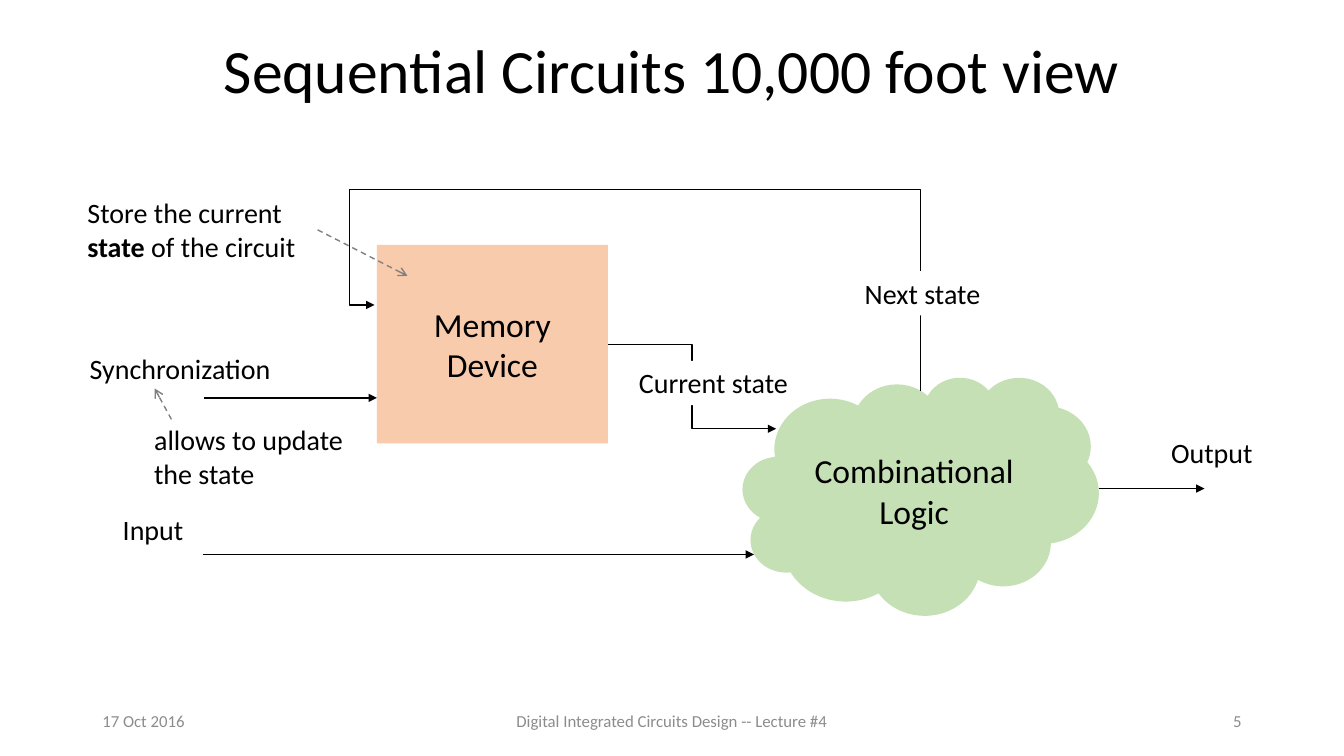
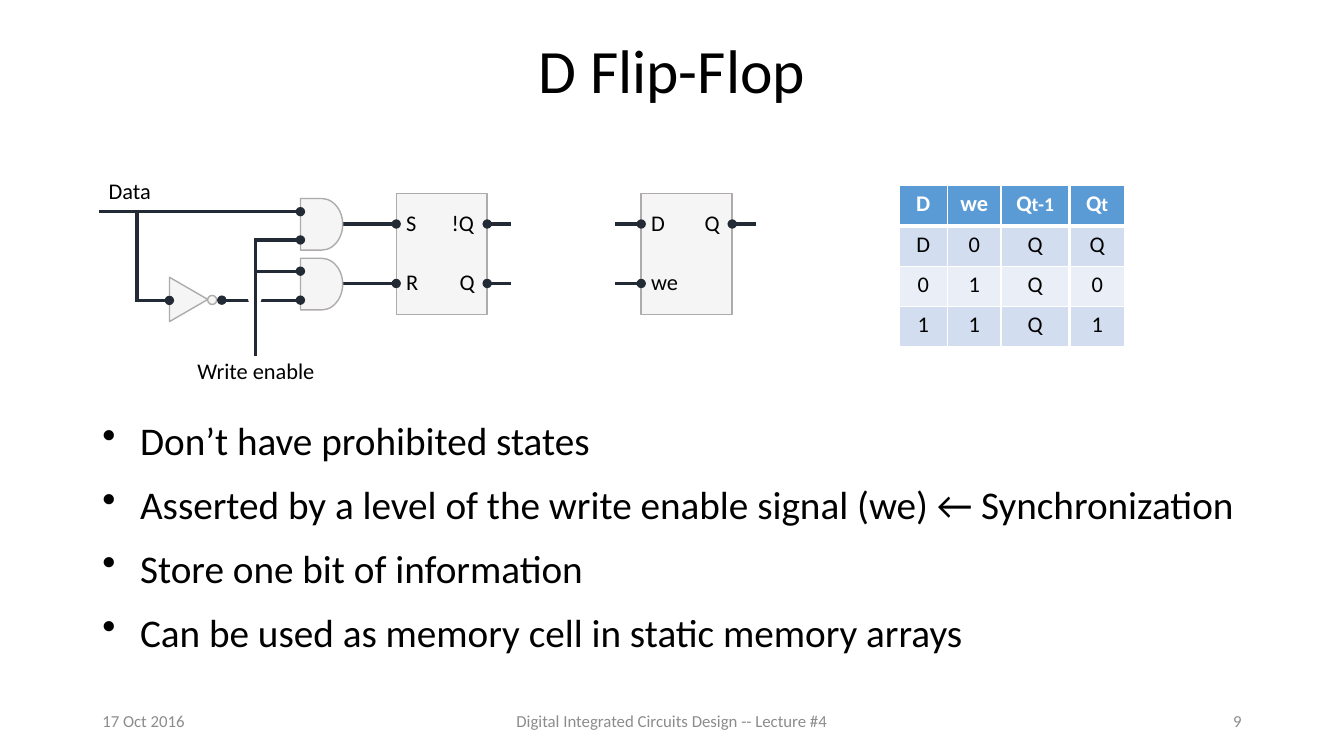
"""Build two lecture slides about sequential circuits."""
from dataclasses import dataclass
from typing import Optional

from lxml.etree import SubElement
from pptx import Presentation
from pptx.dml.color import RGBColor
from pptx.enum.dml import MSO_LINE_DASH_STYLE as Dash
from pptx.enum.shapes import MSO_CONNECTOR as Conn, MSO_SHAPE as Geo
from pptx.enum.text import MSO_ANCHOR as Anchor, MSO_AUTO_SIZE as Fit, PP_ALIGN as Align
from pptx.oxml.ns import qn
from pptx.slide import Slide
from pptx.util import Pt


@dataclass(frozen=True)
class Theme:
    font: str = "Calibri"
    black: str = "000000"
    white: str = "FFFFFF"
    muted: str = "8C8C8C"
    note: str = "808080"
    cloud: str = "C5E0B4"
    memory: str = "F8CBAD"
    gate: str = "F5F5F5"
    gate_edge: str = "AFABAB"
    wire: str = "222A35"
    header: str = "5B9BD5"
    bands: tuple = ("D2DEEF", "EAEFF7")
    title: int = 44
    body: int = 28
    block: int = 24
    label: int = 20
    pin: int = 16
    sub: int = 14
    footer: int = 12
    thin: float = 1
    thick: float = 2.25


T = Theme()


@dataclass(frozen=True)
class Run:
    text: str
    bold: bool = False
    size: Optional[int] = None


@dataclass(frozen=True)
class Box:
    x: float
    y: float
    w: float
    h: float

    def emu(self) -> tuple:
        return Pt(self.x), Pt(self.y), Pt(self.w), Pt(self.h)


@dataclass(frozen=True)
class Label:
    text: str
    x: float
    y: float
    w: float


@dataclass(frozen=True)
class Wire:
    x1: float
    y1: float
    x2: float
    y2: float
    tail: str = ""
    head: str = ""


@dataclass(frozen=True)
class Callout:
    box: Box
    runs: tuple
    adj: tuple


@dataclass(frozen=True)
class Pin:
    name: str
    w: float
    y: float
    right: bool = False


def rgb(color: str) -> RGBColor:
    return RGBColor.from_string(color)


def write(p, runs: tuple, size: int, color: str = T.black, align=Align.LEFT) -> None:
    p.alignment = align
    for run in runs:
        r = p.add_run()
        r.text = run.text
        r.font.name, r.font.bold = T.font, run.bold
        r.font.size = Pt(run.size or size)
        r.font.color.rgb = rgb(color)


def indent(p, left: float, first: float = 0):
    pPr = p._p.get_or_add_pPr()
    pPr.set("marL", str(Pt(left)))
    pPr.set("indent", str(Pt(first)))
    return pPr


def add_text(s: Slide, box: Box, text: str, size: int, color: str = T.black,
             align=Align.LEFT, spacing: Optional[float] = None) -> None:
    tf = s.shapes.add_textbox(*box.emu()).text_frame
    tf.word_wrap, tf.vertical_anchor = True, Anchor.MIDDLE
    tf.paragraphs[0].line_spacing = spacing
    write(tf.paragraphs[0], (Run(text),), size, color, align)


def add_label(s: Slide, label: Label, size: int, fill: Optional[str] = None) -> None:
    sp = s.shapes.add_textbox(Pt(label.x), Pt(label.y), Pt(label.w), Pt(size * 1.22 + 7.2))
    if fill:
        sp.fill.solid()
        sp.fill.fore_color.rgb = rgb(fill)
    tf = sp.text_frame
    tf.word_wrap, tf.auto_size = False, Fit.SHAPE_TO_FIT_TEXT
    write(tf.paragraphs[0], (Run(label.text),), size)


def add_shape(s: Slide, geo: Geo, box: Box, fill: Optional[str],
              edge: Optional[str] = None, width: float = T.thin):
    sp = s.shapes.add_shape(geo, *box.emu())
    sp.shadow.inherit = False
    if fill:
        sp.fill.solid()
        sp.fill.fore_color.rgb = rgb(fill)
    else:
        sp.fill.background()
    if edge:
        sp.line.color.rgb, sp.line.width = rgb(edge), Pt(width)
    else:
        sp.line.fill.background()
    return sp


def add_block(s: Slide, geo: Geo, box: Box, text: str, fill: str, left: float = 0) -> None:
    p = add_shape(s, geo, box, fill).text_frame.paragraphs[0]
    indent(p, left)
    write(p, (Run(text),), T.block, align=Align.CENTER)


def add_ends(line, tail: str, head: str = "") -> None:
    for tag, kind in (("a:headEnd", head), ("a:tailEnd", tail)):
        if kind:
            SubElement(line._get_or_add_ln(), qn(tag)).set("type", kind)


def add_wire(s: Slide, wire: Wire, color: str, width: float, kind=Conn.STRAIGHT):
    c = s.shapes.add_connector(kind, Pt(wire.x1), Pt(wire.y1), Pt(wire.x2), Pt(wire.y2))
    c.line.color.rgb, c.line.width = rgb(color), Pt(width)
    add_ends(c.line, wire.tail, wire.head)
    SubElement(c._element.spPr, qn("a:effectLst"))
    return c


def add_feedback(s: Slide, box: Box, adj: tuple) -> None:
    wire = Wire(box.x, box.y, box.x + box.w, box.y + box.h, "triangle")
    spPr = add_wire(s, wire, T.black, T.thin, Conn.ELBOW)._element.spPr
    xfrm, geom = spPr.find(qn("a:xfrm")), spPr.find(qn("a:prstGeom"))
    xfrm.set("rot", str(270 * 60000))
    xfrm.set("flipV", "1")
    geom.set("prst", "bentConnector4")
    guides = geom.find(qn("a:avLst"))
    for i, value in enumerate(adj, 1):
        gd = SubElement(guides, qn("a:gd"))
        gd.set("name", f"adj{i}")
        gd.set("fmla", f"val {round(value * 100000)}")


def add_callout(s: Slide, note: Callout) -> None:
    sp = add_shape(s, Geo.LINE_CALLOUT_1_NO_BORDER, note.box, None, T.note)
    sp._element.spPr.find(qn("a:xfrm")).set("flipH", "1")
    for i, value in enumerate(note.adj):
        sp.adjustments[i] = value
    sp.line.dash_style = Dash.DASH
    add_ends(sp.line, "arrow")
    write(sp.text_frame.paragraphs[0], note.runs, T.label)


def add_latch(s: Slide, x: float, stub: float, pins: tuple) -> None:
    body = Box(x, 138.2, 65, 86.5)
    add_shape(s, Geo.RECTANGLE, body, T.gate, T.gate_edge)
    for pin in pins:
        edge = x + body.w if pin.right else x
        start = edge + 17.3 if pin.right else edge - stub
        add_wire(s, Wire(start, pin.y, edge, pin.y, "oval"), T.wire, T.thick)
        left = edge - pin.w - 1.5 if pin.right else edge
        add_label(s, Label(pin.name, left, pin.y - 14.2, pin.w), T.pin)


def add_bullets(s: Slide, box: Box, lines: tuple) -> None:
    tf = s.shapes.add_textbox(*box.emu()).text_frame
    tf.word_wrap = True
    for i, line in enumerate(lines):
        p = tf.add_paragraph() if i else tf.paragraphs[0]
        p.space_before = Pt(12)
        SubElement(indent(p, 27, -27), qn("a:buChar")).set("char", "•")
        write(p, (Run(line),), T.body)


def add_border(cell, side: str, width: float) -> None:
    ln = SubElement(cell._tc.get_or_add_tcPr(), qn(f"a:ln{side}"))
    ln.set("w", str(Pt(width)))
    SubElement(SubElement(ln, qn("a:solidFill")), qn("a:srgbClr")).set("val", T.white)


def add_truth_table(s: Slide, box: Box, widths: tuple, rows: tuple) -> None:
    table = s.shapes.add_table(len(rows), len(widths), *box.emu()).table
    for column, width in zip(table.columns, widths):
        column.width = Pt(width)
    for i, row in enumerate(rows):
        table.rows[i].height = Pt(box.h / len(rows))
        for j, runs in enumerate(row):
            cell = table.cell(i, j)
            heavy = {"L": j == 3, "R": j == 2, "T": i == 1, "B": i == 0}
            for side, is_heavy in heavy.items():
                add_border(cell, side, 3 if is_heavy else 1)
            cell.fill.solid()
            cell.fill.fore_color.rgb = rgb(T.bands[(i - 1) % 2] if i else T.header)
            write(cell.text_frame.paragraphs[0], runs, T.pin,
                  T.black if i else T.white, Align.CENTER)


def new_slide(prs, title: str, number: int) -> Slide:
    s = prs.slides.add_slide(prs.slide_layouts[6])
    add_text(s, Box(66, 0, 828, 104.4), title, T.title, align=Align.CENTER, spacing=0.9)
    for x, w, text, align in ((66, 216, "17 Oct 2016", Align.LEFT),
                              (318, 324, "Digital Integrated Circuits Design -- Lecture #4", Align.CENTER),
                              (678, 216, str(number), Align.RIGHT)):
        add_text(s, Box(x, 500.5, w, 28.75), text, T.footer, T.muted, align)
    return s


def sequential_slide(prs) -> None:
    s = new_slide(prs, "Sequential Circuits 10,000 foot view", 5)
    add_block(s, Geo.CLOUD, Box(530.6, 269.3, 254.2, 170), "Combinational Logic", T.cloud, 8.6)
    add_block(s, Geo.RECTANGLE, Box(269.2, 175, 165, 141.8), "Memory Device", T.memory)
    add_wire(s, Wire(434.2, 246.2, 554.4, 306.3, "triangle"), T.black, T.thin, Conn.ELBOW)
    for x1, x2, y in ((144.7, 538.6, 396), (145.4, 269.2, 284.2), (784.8, 860.4, 349)):
        add_wire(s, Wire(x1, y, x2, y, "triangle"), T.black, T.thin)
    add_feedback(s, Box(432, 53.3, 61.2, 390.2), (2.349, 1.046))
    store = (Run("Store the current "), Run("state", True), Run(" of the circuit"))
    add_callout(s, Callout(Box(55.4, 113.8, 169.2, 100), store, (0.504, -0.014, 0.833, -0.393)))
    for label in (Label("Next state", 610.6, 193.7, 97.9), Label("Current state", 449.3, 257.8, 122.4),
                  Label("Input", 80.6, 362.2, 58.3), Label("Output", 829.4, 307.4, 73.4),
                  Label("Synchronization", 56.9, 247.7, 144.7)):
        add_label(s, label, T.label, T.white)
    add_callout(s, Callout(Box(103, 275.8, 169.2, 100), (Run("allows to update the state"),),
                           (0.238, 0.885, 0.017, 0.956)))


def flip_flop_slide(prs) -> None:
    s = new_slide(prs, "D Flip-Flop", 9)
    add_bullets(s, Box(66, 293.8, 828, 147.6), (
        "Don’t have prohibited states",
        "Asserted by a level of the write enable signal (we) ← Synchronization",
        "Store one bit of information",
        "Can be used as memory cell in static memory arrays"))
    top, bottom = 160, 202.5
    add_latch(s, 283, 38.2, (Pin("S", 22.3, top), Pin("R", 24.5, bottom),
                             Pin("!Q", 31, top, True), Pin("Q", 25.2, bottom, True)))
    add_latch(s, 458, 18.7, (Pin("D", 24.5, top), Pin("we", 35.3, bottom), Pin("Q", 25.2, top, True)))
    for y in (141.8, 184.5):
        add_shape(s, Geo.FLOWCHART_DELAY, Box(214.6, y, 30.2, 36.9), T.gate, T.gate_edge)
    inverter = add_shape(s, Geo.ISOSCELES_TRIANGLE, Box(118.9, 200.2, 31.7, 27.4), T.gate, T.gate_edge)
    inverter.rotation = 90
    add_shape(s, Geo.OVAL, Box(148.3, 211, 6.5, 6.5), T.gate, T.gate_edge)
    for wire in (Wire(158.4, 214.4, 214.6, 214.4, "oval", "oval"),
                 Wire(181.6, 193.7, 214.6, 193.7, "oval"), Wire(181.6, 171.4, 214.6, 171.4, "oval")):
        add_wire(s, wire, T.wire, T.thick)
    add_shape(s, Geo.OVAL, Box(177.3, 209, 9.4, 8.9), T.white, T.white, 0.25)
    for wire in (Wire(182.3, 170.2, 182.3, 254.2), Wire(70.6, 151.2, 214.6, 151.2, "oval"),
                 Wire(97.9, 214.6, 121, 214.6, "oval"), Wire(97.9, 151.2, 97.9, 215.5)):
        add_wire(s, wire, T.wire, T.thick)
    for label in (Label("Write enable", 133.9, 251.3, 100.1), Label("Data", 70.6, 123.1, 46.1)):
        add_label(s, label, T.pin)
    header = ((Run("D", True),), (Run("we", True),),
              (Run("Q", True), Run("t-1", True, T.sub)), (Run("Q", True), Run("t", True, T.sub)))
    states = tuple(tuple((Run(value),) for value in row) for row in ("D0QQ", "01Q0", "11Q1"))
    add_truth_table(s, Box(642.2, 132.5, 161.4, 115.2), (34.6, 38.2, 49, 39.6), (header, *states))


def main() -> None:
    prs = Presentation()
    prs.slide_width, prs.slide_height = Pt(960), Pt(540)
    sequential_slide(prs)
    flip_flop_slide(prs)
    prs.save("out.pptx")


main()
